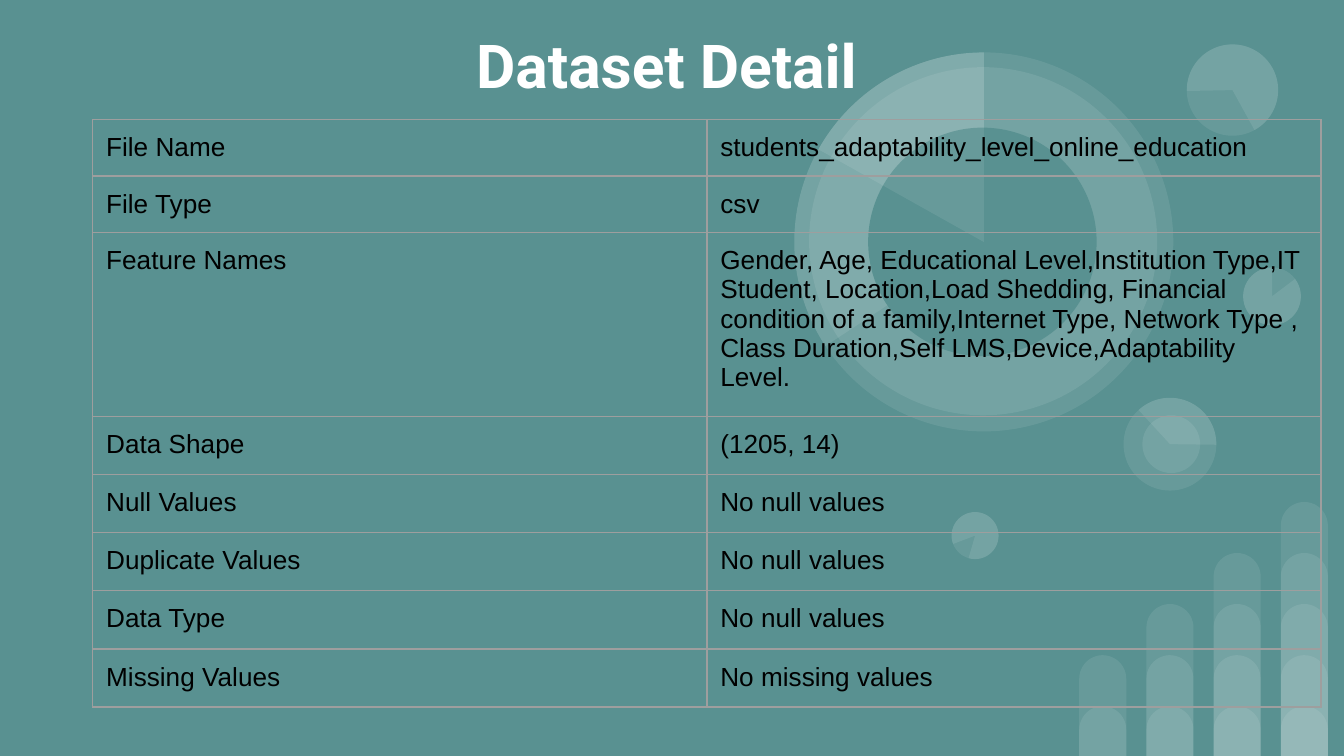
"""Build the dataset detail slide: a two-column table over translucent charts."""

from dataclasses import dataclass
from typing import Any, Optional

from lxml.etree import SubElement
from pptx import Presentation
from pptx.dml.color import RGBColor
from pptx.enum.shapes import MSO_SHAPE
from pptx.enum.text import MSO_ANCHOR, MSO_AUTO_SIZE, PP_ALIGN
from pptx.oxml import parse_xml
from pptx.oxml.ns import nsdecls, qn
from pptx.util import Inches, Length, Pt

TEAL = RGBColor(0x59, 0x91, 0x91)
WHITE = RGBColor(0xFF, 0xFF, 0xFF)
BLACK = RGBColor(0x00, 0x00, 0x00)
GREY = RGBColor(0x9E, 0x9E, 0x9E)

GRID_COLUMNS, GRID_ROWS = 100, 56.25
OVERLAY_ALPHA = 9000
DEGREE = 0.6

MARGINS = dict.fromkeys(
    ("margin_left", "margin_right", "margin_top", "margin_bottom"), Inches(0.1)
)
TITLE_FRAME = {
    **MARGINS,
    "vertical_anchor": MSO_ANCHOR.MIDDLE,
    "word_wrap": True,
    "auto_size": MSO_AUTO_SIZE.NONE,
}
TITLE_FONT = {"name": "Roboto", "size": Pt(32.4), "bold": True}
CELL_FONT = {"name": "Arial", "size": Pt(14), "bold": False}
TABLE_FLAGS = {"first_row": False, "horz_banding": False}


@dataclass(frozen=True)
class Box:
    """A rectangle in grid columns and rows."""

    left: float
    top: float
    width: float
    height: float


@dataclass(frozen=True)
class Disc:
    """A circle, or a slice of one when a start angle is given."""

    left: float
    top: float
    size: float
    start: Optional[float] = None
    end: float = 270
    rotation: float = 0
    solid: bool = False


@dataclass(frozen=True)
class Detail:
    """One table row and its height in grid rows."""

    label: str
    value: str
    height: float = 4.33


DISCS = (
    Disc(92.5, 19.9, 4.3),
    Disc(92.5, 19.9, 4.3, 322.95),
    Disc(70.8, 38.1, 3.5),
    Disc(70.8, 38.1, 3.5, 322.95, rotation=196.2),
    Disc(83.6, 29.6, 6.9),
    Disc(83.6, 29.6, 6.9, 137.41, 270.77, rotation=90),
    Disc(85, 30.9, 4.3),
    Disc(88.3, 3.3, 6.8),
    Disc(88.3, 3.3, 6.8, 322.95, 205.23, rotation=215.9),
    Disc(59.1, 3.9, 28.2),
    Disc(60.2, 5, 25.9),
    Disc(59.1, 3.9, 28.2, 146.69),
    Disc(64.6, 9.5, 17, solid=True),
    Disc(59.1, 3.9, 28.2, 209.24),
)

DETAILS = (
    Detail("File Name", "students_adaptability_level_online_education", 4.16),
    Detail("File Type", "csv", 4.16),
    Detail(
        "Feature Names",
        "Gender, Age, Educational Level,Institution Type,IT Student, "
        "Location,Load Shedding, Financial condition of a family,"
        "Internet Type, Network Type , Class Duration,Self LMS,Device,"
        "Adaptability Level.",
        13.7,
    ),
    Detail("Data Shape", "(1205, 14)"),
    Detail("Null Values", "No null values"),
    Detail("Duplicate Values", "No null values"),
    Detail("Data Type", "No null values"),
    Detail("Missing Values", "No missing values"),
)


def grid(cells: float) -> Length:
    """Convert grid cells to a length."""
    return Inches(cells / 10)


def place(box: Box) -> tuple[Length, ...]:
    """Return left, top, width and height of a box."""
    return tuple(grid(side) for side in (box.left, box.top, box.width, box.height))


def apply_format(target: Any, values: dict[str, Any]) -> None:
    """Set each attribute named in the format values."""
    for name, value in values.items():
        setattr(target, name, value)


def add_overlay(slide: Any, kind: MSO_SHAPE, box: Box, solid: bool = False) -> Any:
    """Add an outline-free shape in translucent white, or in solid teal."""
    shape = slide.shapes.add_shape(kind, *place(box))
    shape.shadow.inherit = False
    shape.line.fill.background()
    shape.fill.solid()
    shape.fill.fore_color.rgb = TEAL if solid else WHITE
    if not solid:
        color = shape.element.spPr.find(f"{qn('a:solidFill')}/{qn('a:srgbClr')}")
        SubElement(color, qn("a:alpha"), val=str(OVERLAY_ALPHA))
    return shape


def add_bars(slide: Any) -> None:
    """Add four columns of nested bars, each one level taller than the last."""
    for column in range(4):
        for level in range(column + 2):
            height = 3.7 + 3.8 * level
            box = Box(80.3 + 5 * column, GRID_ROWS - height, 3.5, height)
            bar = add_overlay(slide, MSO_SHAPE.ROUND_2_SAME_RECTANGLE, box)
            bar.adjustments[0] = 0.5


def add_disc(slide: Any, disc: Disc) -> None:
    """Add a circle or a pie slice."""
    kind = MSO_SHAPE.OVAL if disc.start is None else MSO_SHAPE.PIE
    box = Box(disc.left, disc.top, disc.size, disc.size)
    shape = add_overlay(slide, kind, box, disc.solid)
    shape.rotation = disc.rotation
    if disc.start is not None:
        shape.adjustments[0] = disc.start * DEGREE
        shape.adjustments[1] = disc.end * DEGREE


def format_title(slide: Any, text: str) -> None:
    """Fill the title placeholder and bring it in front of the charts."""
    title = slide.shapes.title
    title.left, title.top, title.width, title.height = place(Box(11.6, 1.4, 76, 6.8))
    title.text_frame.text = text
    apply_format(title.text_frame, TITLE_FRAME)
    paragraph = title.text_frame.paragraphs[0]
    paragraph.alignment = PP_ALIGN.CENTER
    apply_format(paragraph.runs[0].font, TITLE_FONT)
    paragraph.runs[0].font.color.rgb = WHITE
    slide.shapes.element.append(title.element)


def format_cell(cell: Any, text: str) -> None:
    """Write a cell without fill and with thin grey borders."""
    cell.text = text
    apply_format(cell, MARGINS)
    font = cell.text_frame.paragraphs[0].runs[0].font
    apply_format(font, CELL_FONT)
    font.color.rgb = BLACK
    cell.fill.background()
    properties = cell._tc.get_or_add_tcPr()
    for index, side in enumerate(("lnL", "lnR", "lnT", "lnB")):
        border = parse_xml(
            f'<a:{side} {nsdecls("a")} w="{Pt(0.75)}"><a:solidFill>'
            f'<a:srgbClr val="{GREY}"/></a:solidFill></a:{side}>'
        )
        properties.insert(index, border)


def add_details(slide: Any, details: tuple[Detail, ...]) -> None:
    """Add the table with one row for each detail."""
    box = Box(6.9, 8.9, 91.4, sum(detail.height for detail in details))
    table = slide.shapes.add_table(len(details), 2, *place(box)).table
    apply_format(table, TABLE_FLAGS)
    for row, detail in zip(table.rows, details):
        row.height = grid(detail.height)
        for cell, text in zip(row.cells, (detail.label, detail.value)):
            format_cell(cell, text)


def main() -> None:
    """Build and save the presentation."""
    presentation = Presentation()
    presentation.slide_width = grid(GRID_COLUMNS)
    presentation.slide_height = grid(GRID_ROWS)
    slide = presentation.slides.add_slide(presentation.slide_layouts[5])
    slide.background.fill.solid()
    slide.background.fill.fore_color.rgb = TEAL
    add_bars(slide)
    for disc in DISCS:
        add_disc(slide, disc)
    format_title(slide, "Dataset Detail")
    add_details(slide, DETAILS)
    presentation.save("out.pptx")


if __name__ == "__main__":
    main()
